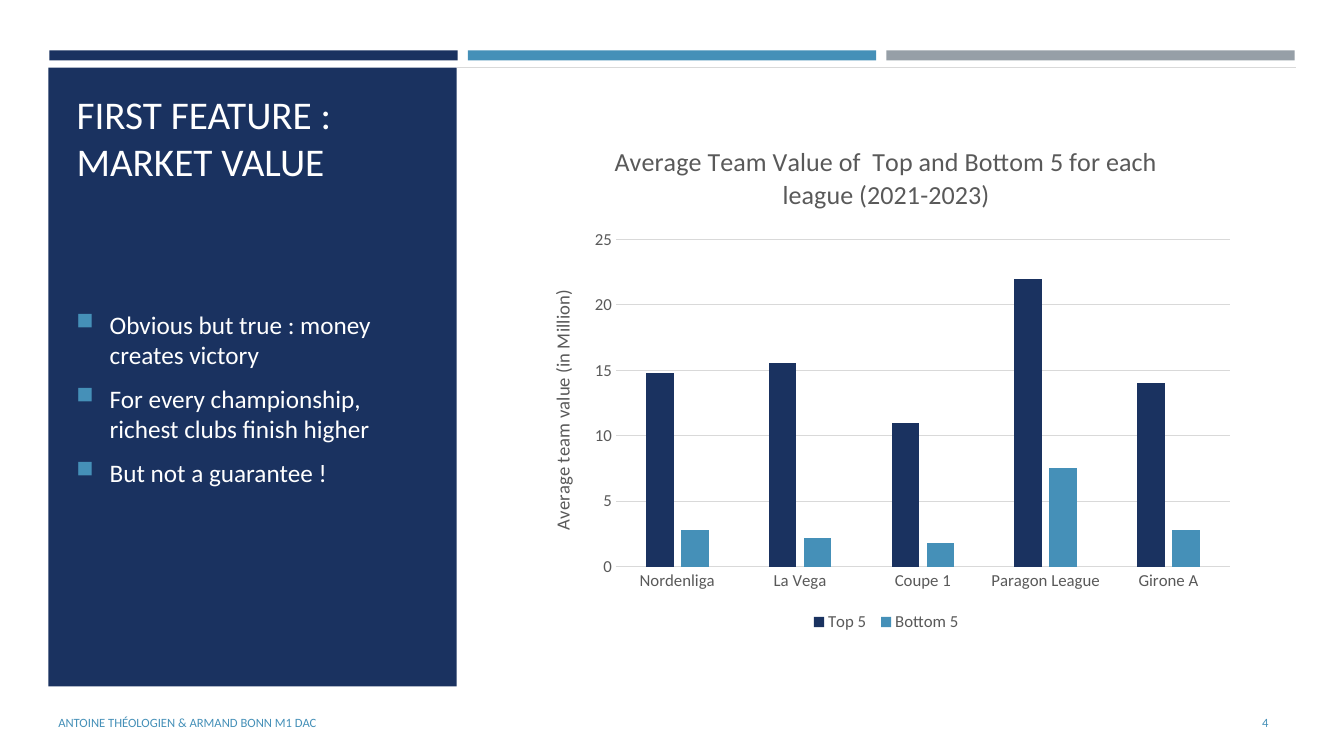
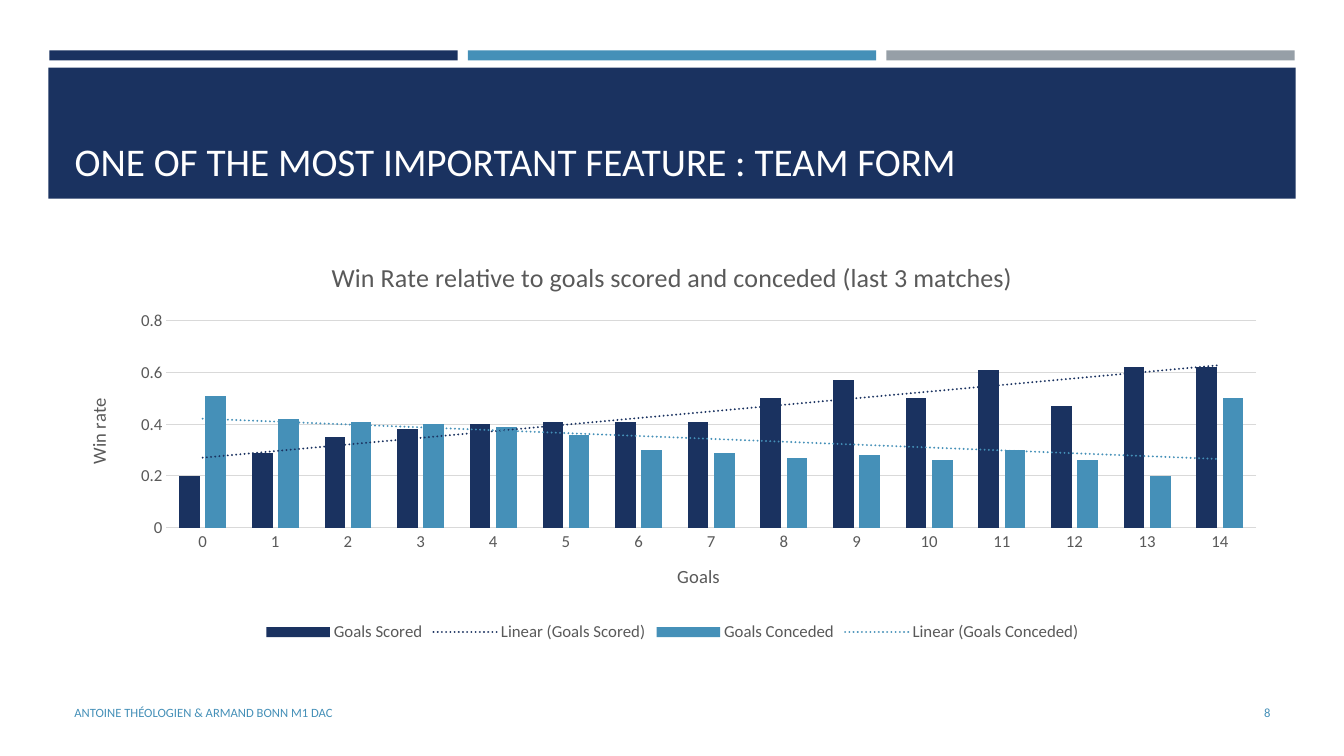
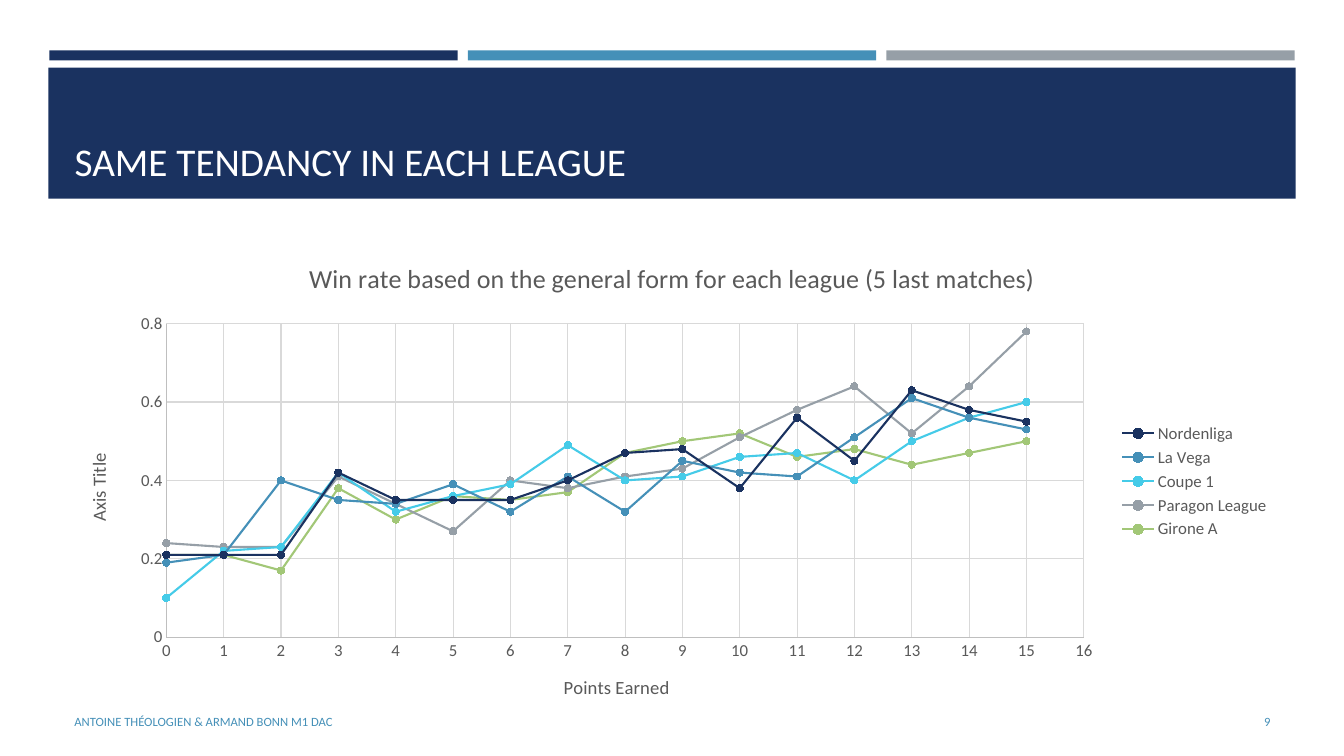
from lxml import etree
from pptx import Presentation
from pptx.chart.data import CategoryChartData, XyChartData
from pptx.dml.color import RGBColor
from pptx.enum.chart import XL_CHART_TYPE, XL_LEGEND_POSITION, XL_MARKER_STYLE, XL_TICK_MARK
from pptx.enum.shapes import MSO_CONNECTOR, MSO_SHAPE
from pptx.enum.text import MSO_ANCHOR, PP_ALIGN
from pptx.oxml import parse_xml
from pptx.oxml.ns import nsdecls, qn
from pptx.util import Inches, Pt

RECT = MSO_SHAPE.RECTANGLE
STRAIGHT = MSO_CONNECTOR.STRAIGHT
LEFT, RIGHT = PP_ALIGN.LEFT, PP_ALIGN.RIGHT
MIDDLE, BOTTOM = MSO_ANCHOR.MIDDLE, MSO_ANCHOR.BOTTOM
COLUMN = XL_CHART_TYPE.COLUMN_CLUSTERED
SCATTER = XL_CHART_TYPE.XY_SCATTER_LINES
KEY_LOW, KEY_SIDE = XL_LEGEND_POSITION.BOTTOM, XL_LEGEND_POSITION.RIGHT
CIRCLE = XL_MARKER_STYLE.CIRCLE
NO_TICK = XL_TICK_MARK.NONE

FONT = "Calibri"
HUES = {
    "navy": "1A3260", "blue": "4590B8", "grey": "969FA7", "cyan": "45CBE8",
    "green": "A2C777", "white": "FFFFFF", "text": "595959",
    "grid": "D9D9D9", "axis": "BFBFBF",
}
FOOTER = "ANTOINE THÉOLOGIEN & ARMAND BONN M1 DAC"
WIDE = (0.64, 0.77, 12.06, 1.11)

POINTS = [
    "Obvious but true : money creates victory",
    "For every championship, richest clubs finish higher",
    "But not a guarantee !",
]
LEAGUES = ["Nordenliga", "La Vega", "Coupe 1", "Paragon League", "Girone A"]
VALUE = {
    "Top 5 ": [14.8, 15.6, 11, 22, 14],
    "Bottom 5": [2.8, 2.2, 1.8, 7.5, 2.8],
}
GOALS = {
    "Goals Scored": [0.2, 0.29, 0.35, 0.38, 0.4, 0.41, 0.41, 0.41,
                     0.5, 0.57, 0.5, 0.61, 0.47, 0.62, 0.62],
    "Goals Conceded": [0.51, 0.42, 0.41, 0.4, 0.39, 0.36, 0.3, 0.29,
                       0.27, 0.28, 0.26, 0.3, 0.26, 0.2, 0.5],
}
FORM = [
    [0.21, 0.21, 0.21, 0.42, 0.35, 0.35, 0.35, 0.4,
     0.47, 0.48, 0.38, 0.56, 0.45, 0.63, 0.58, 0.55],
    [0.19, 0.21, 0.4, 0.35, 0.34, 0.39, 0.32, 0.41,
     0.32, 0.45, 0.42, 0.41, 0.51, 0.61, 0.56, 0.53],
    [0.1, 0.22, 0.23, 0.42, 0.32, 0.36, 0.39, 0.49,
     0.4, 0.41, 0.46, 0.47, 0.4, 0.5, 0.56, 0.6],
    [0.24, 0.23, 0.23, 0.41, 0.34, 0.27, 0.4, 0.38,
     0.41, 0.43, 0.51, 0.58, 0.64, 0.52, 0.64, 0.78],
    [0.21, 0.21, 0.17, 0.38, 0.3, 0.36, 0.35, 0.37,
     0.47, 0.5, 0.52, 0.46, 0.48, 0.44, 0.47, 0.5],
]


def rgb(hue):
    return RGBColor.from_string(HUES[hue])


def put(item, **vals):
    for name, val in vals.items():
        setattr(item, name, val)


def style(font, size, hue):
    put(font, size=Pt(size), name=FONT, bold=False)
    font.color.rgb = rgb(hue)


def paint(fill, hue):
    fill.solid()
    fill.fore_color.rgb = rgb(hue)


def stroke(line, hue, width=0.75):
    paint(line.fill, hue)
    line.width = Pt(width)


def block(slide, hue, *box):
    shape = slide.shapes.add_shape(RECT, *map(Inches, box))
    shape.shadow.inherit = False
    paint(shape.fill, hue)
    shape.line.fill.background()


def rule(slide, hue, left, top, right):
    line = slide.shapes.add_connector(
        STRAIGHT, Inches(left), Inches(top), Inches(right), Inches(top))
    stroke(line.line, hue)
    etree.SubElement(line._element.spPr, qn("a:effectLst"))


def write(frame, lines, size, hue, anchor, align=LEFT):
    put(frame, word_wrap=True, vertical_anchor=anchor, text="\n".join(lines))
    for para in frame.paragraphs:
        para.alignment = align
        style(para.font, size, hue)


def label(slide, lines, box, size, hue, align=LEFT):
    frame = slide.shapes.add_textbox(*map(Inches, box)).text_frame
    write(frame, lines, size, hue, MIDDLE, align)
    return frame


def bullets(slide, lines, box):
    for para in label(slide, lines, box, 18, "white").paragraphs:
        put(para, space_before=Pt(3.6), space_after=Pt(6))
        props = para._p.get_or_add_pPr()
        props.set("marL", str(Inches(0.33)))
        props.set("indent", str(-Inches(0.33)))
        for mark in (
            f'<a:buClr {nsdecls("a")}><a:srgbClr val="{HUES["blue"]}"/></a:buClr>',
            f'<a:buSzPct {nsdecls("a")} val="92000"/>',
            f'<a:buChar {nsdecls("a")} char="■"/>',
        ):
            props.insert_element_before(parse_xml(mark), "a:tabLst", "a:defRPr", "a:extLst")


def start(deck, title, box, panel):
    """Add a slide with the three top bars, a navy panel and its title."""
    slide = deck.slides.add_slide(deck.slide_layouts[5])
    for i, hue in enumerate(("navy", "blue", "grey")):
        block(slide, hue, 0.49 + 4.15 * i, 0.5, 4.05, 0.1)
    block(slide, "navy", *panel)
    head = slide.shapes.title
    put(head, **dict(zip(("left", "top", "width", "height"), map(Inches, box))))
    write(head.text_frame, [title], 28, "white", BOTTOM)
    slide.shapes._spTree.append(head._element)
    return slide


def banner(deck, title):
    return start(deck, title, WIDE, (0.48, 0.67, 12.37, 1.3))


def foot(slide, number, left, top, right=12.7):
    label(slide, [FOOTER], (left, top, 7.56, 0.4), 9, "blue")
    label(slide, [str(number)], (right - 1.15, top, 1.15, 0.4), 9, "blue", RIGHT)


def name(item, text, size):
    """Give a chart or an axis its title."""
    head = item.chart_title if hasattr(item, "chart_title") else item.axis_title
    head.text_frame.text = text
    style(head.text_frame.paragraphs[0].runs[0].font, size, "text")


def plot(slide, kind, data, box, title, key):
    chart = slide.shapes.add_chart(kind, *map(Inches, box), data).chart
    style(chart.font, 12, "text")
    name(chart, title, 18.6)
    chart.has_legend = True
    put(chart.legend, position=key, include_in_layout=False)
    style(chart.legend.font, 12, "text")
    chart.plots[0].vary_by_categories = False
    return chart


def scale(axis, title=None, hue=None, grid=True, **vals):
    put(axis, major_tick_mark=NO_TICK, minor_tick_mark=NO_TICK,
        has_major_gridlines=grid, **vals)
    style(axis.tick_labels.font, 12, "text")
    if title:
        name(axis, title, 13.3)
    if hue:
        stroke(axis.format.line, hue)
    else:
        axis.format.line.fill.background()
    if grid:
        stroke(axis.major_gridlines.format.line, "grid")


def columns(slide, cats, sets, box, title, gap):
    data = CategoryChartData()
    data.categories = cats
    for text, vals in sets.items():
        data.add_series(text, vals)
    chart = plot(slide, COLUMN, data, box, title, KEY_LOW)
    put(chart.plots[0], gap_width=gap, overlap=-27)
    for row, hue in zip(chart.plots[0].series, ("navy", "blue")):
        paint(row.format.fill, hue)
    return chart


def trend(row, hue):
    """Add a dotted linear trend line to a series."""
    row._element.find(qn("c:cat")).addprevious(parse_xml(
        f'<c:trendline {nsdecls("c", "a")}><c:spPr><a:ln w="{Pt(1.5)}" cap="rnd">'
        f'<a:solidFill><a:srgbClr val="{HUES[hue]}"/></a:solidFill>'
        '<a:prstDash val="sysDot"/></a:ln></c:spPr>'
        '<c:trendlineType val="linear"/><c:dispRSqr val="0"/><c:dispEq val="0"/>'
        '</c:trendline>'))


def curves(slide, names, sets, box, title):
    data = XyChartData()
    for text, vals in zip(names, sets):
        row = data.add_series(text)
        for x, y in enumerate(vals):
            row.add_data_point(x, y)
    chart = plot(slide, SCATTER, data, box, title, KEY_SIDE)
    hues = ("navy", "blue", "cyan", "grey", "green")
    for row, hue in zip(chart.plots[0].series, hues):
        row.smooth = False
        stroke(row.format.line, hue, 1.5)
        put(row.marker, style=CIRCLE, size=5)
        paint(row.marker.format.fill, hue)
        stroke(row.marker.format.line, hue)
    return chart


def market(deck):
    slide = start(deck, "FIRST FEATURE : MARKET VALUE",
                  (0.66, 0.77, 3.73, 1.11), (0.48, 0.67, 4.05, 6.14))
    rule(slide, "grid", 4.53, 0.67, 12.85)
    bullets(slide, POINTS, (0.66, 2.15, 3.73, 3.6))
    chart = columns(slide, LEAGUES, VALUE, (5.24, 1.22, 7.1, 5.09),
                    "Average Team Value of  Top and Bottom 5 for each league (2021-2023)", 219)
    scale(chart.category_axis, hue="grid", grid=False)
    scale(chart.value_axis, "Average team value (in Million)")
    foot(slide, 4, 0.48, 6.97, 12.68)


def team(deck):
    slide = banner(deck, "ONE OF THE MOST IMPORTANT FEATURE : TEAM FORM")
    chart = columns(slide, [str(n) for n in range(15)], GOALS, (0.64, 2.39, 12.06, 4.02),
                    "Win Rate relative to goals scored and conceded (last 3 matches)", 125)
    for row, hue in zip(chart.plots[0].series, ("navy", "blue")):
        trend(row, hue)
    scale(chart.category_axis, "Goals", "grid", False)
    scale(chart.value_axis, "Win rate", minimum_scale=0, maximum_scale=0.8, major_unit=0.2)
    foot(slide, 8, 0.64, 6.87)


def league(deck):
    slide = banner(deck, "SAME TENDANCY IN EACH LEAGUE")
    chart = curves(slide, LEAGUES, FORM, (0.64, 2.39, 12.06, 4.77),
                   "Win rate based on the general form for each league (5 last matches)")
    scale(chart.category_axis, "Points Earned", "axis",
          minimum_scale=0, maximum_scale=16, major_unit=1)
    scale(chart.value_axis, "Axis Title", "axis",
          minimum_scale=0, maximum_scale=0.8, major_unit=0.2)
    foot(slide, 9, 0.64, 6.96)


def main():
    deck = Presentation()
    put(deck, slide_width=Inches(13.33), slide_height=Inches(7.5))
    for build in (market, team, league):
        build(deck)
    deck.save("out.pptx")


if __name__ == "__main__":
    main()
